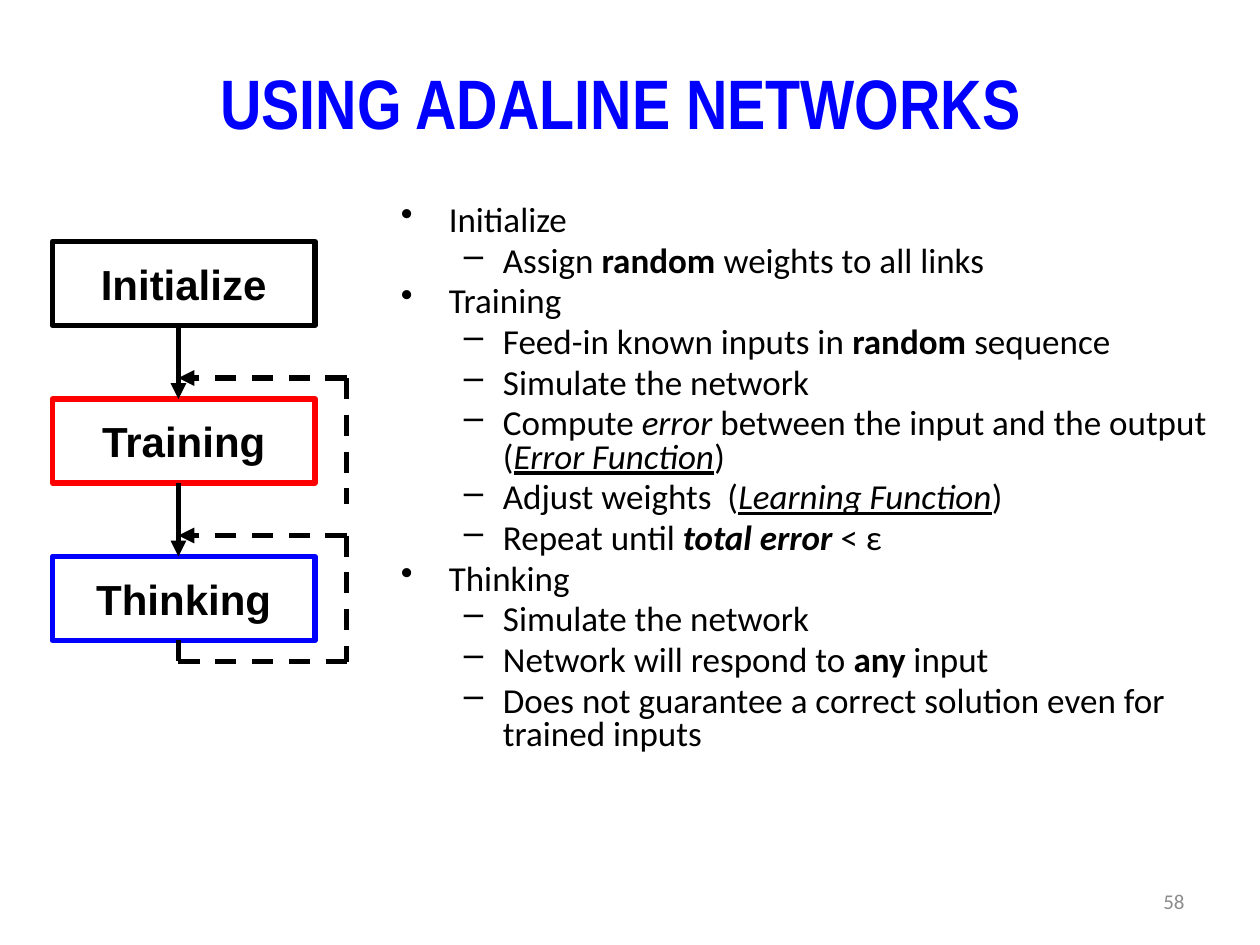
from lxml.etree import SubElement
from pptx import Presentation
from pptx.dml.color import RGBColor
from pptx.enum.dml import MSO_LINE
from pptx.enum.shapes import MSO_CONNECTOR, MSO_SHAPE
from pptx.enum.text import MSO_ANCHOR, PP_ALIGN
from pptx.oxml.ns import qn
from pptx.util import Inches, Pt

COLORS = {"black": "000000", "red": "FF0000", "blue": "0000FF", "gray": "8C8C8C"}

# Diagram grid: one cell is a twelfth of an inch
BOX_LEFT, BOX_WIDTH, BOX_HEIGHT = 5, 25, 8
FIRST_TOP, STEP = 23, 15
FLOW_X, LOOP_X = 17, 33

STAGES = [("Initialize", "black"), ("Training", "red"), ("Thinking", "blue")]

# Each entry: level, then spans of (text, style letters)
OUTLINE = [
    (0, [("Initialize", "")]),
    (1, [("Assign ", ""), ("random", "b"), (" weights to all links", "")]),
    (0, [("Training", "")]),
    (1, [("Feed-in known inputs in ", ""), ("random ", "b"), ("sequence", "")]),
    (1, [("Simulate the network", "")]),
    (1, [("Compute ", ""), ("error ", "i"),
         ("between the input and the output (", ""),
         ("Error Function", "iu"), (")", "")]),
    (1, [("Adjust weights  (", ""), ("Learning Function", "iu"), (")", "")]),
    (1, [("Repeat until ", ""), ("total error ", "bi"), ("< ε", "")]),
    (0, [("Thinking", "")]),
    (1, [("Simulate the network", "")]),
    (1, [("Network will respond to ", ""), ("any", "b"), (" input", "")]),
    (1, [("Does not guarantee a correct solution even for trained inputs", "")]),
]
# Bullet, left margin and hanging indent by level
LEVELS = [("•", 0.38, 0.38), ("–", 0.81, 0.31)]


def cells(count):
    return Inches(count / 12)


def color(name):
    return RGBColor.from_string(COLORS[name])


def format_span(span, font, size, ink, style=""):
    span.font.name = font
    span.font.size = Pt(size)
    span.font.color.rgb = color(ink)
    span.font.bold = "b" in style
    span.font.italic = "i" in style
    span.font.underline = "u" in style


def set_line(frame, text, align, font, size, ink, style=""):
    frame.text = text
    para = frame.paragraphs[0]
    para.alignment = align
    format_span(para.runs[0], font, size, ink, style)


def add_title(page, text):
    title = page.shapes.title
    title.left, title.top = Inches(1.64), Inches(0.42)
    title.width, title.height = Inches(6.57), Inches(0.77)
    frame = title.text_frame
    frame.word_wrap = False
    set_line(frame, text, PP_ALIGN.CENTER, "Arial Narrow", 40, "blue", "b")


def add_page_number(page, number):
    box = page.shapes.add_textbox(Inches(7.17), Inches(6.95), Inches(2.33), Inches(0.4))
    frame = box.text_frame
    frame.word_wrap = True
    frame.vertical_anchor = MSO_ANCHOR.MIDDLE
    set_line(frame, number, PP_ALIGN.RIGHT, "Calibri", 12, "gray")


def add_outline(page):
    box = page.shapes.add_textbox(cells(37), cells(19), cells(80), cells(60))
    frame = box.text_frame
    frame.word_wrap = True
    for index, (level, spans) in enumerate(OUTLINE):
        para = frame.add_paragraph() if index else frame.paragraphs[0]
        bullet, margin, hanging = LEVELS[level]
        para.level = level
        properties = para._p.get_or_add_pPr()
        properties.set("marL", str(Inches(margin)))
        properties.set("indent", str(-Inches(hanging)))
        SubElement(properties, qn("a:buChar")).set("char", bullet)
        para.line_spacing = 0.8
        para.space_before = Pt(4 if index else 0)
        for text, style in spans:
            span = para.add_run()
            span.text = text
            format_span(span, "Calibri", 20, "black", style)


def add_stage(page, top, label, ink):
    box = page.shapes.add_shape(MSO_SHAPE.RECTANGLE, cells(BOX_LEFT), cells(top),
                                cells(BOX_WIDTH), cells(BOX_HEIGHT))
    box.shadow.inherit = False
    box.fill.background()
    box.line.color.rgb = color(ink)
    box.line.width = Pt(3)
    box.text_frame.vertical_anchor = MSO_ANCHOR.MIDDLE
    set_line(box.text_frame, label, PP_ALIGN.CENTER, "Arial", 24, "black", "b")


def add_line(page, start, end, dashed=False, arrow=False):
    line = page.shapes.add_connector(MSO_CONNECTOR.STRAIGHT,
                                     *map(cells, start), *map(cells, end))
    line.line.color.rgb = color("black")
    line.line.width = Pt(3)
    if dashed:
        line.line.dash_style = MSO_LINE.DASH
    properties = line._element.spPr
    if arrow:
        SubElement(properties.find(qn("a:ln")), qn("a:tailEnd")).set("type", "triangle")
    SubElement(properties, qn("a:effectLst"))


def add_loop(page, top, height):
    """Dashed return path: into the flow at the top, down the right side."""
    add_line(page, (LOOP_X, top), (FLOW_X, top), dashed=True, arrow=True)
    add_line(page, (LOOP_X, top), (LOOP_X, top + height), dashed=True)


def add_diagram(page):
    tops = [FIRST_TOP + STEP * row for row in range(len(STAGES))]
    for top, (label, ink) in zip(tops, STAGES):
        add_stage(page, top, label, ink)

    # Flow arrows and return loops between neighbouring stages
    for top, following in zip(tops, tops[1:]):
        add_line(page, (FLOW_X, top + BOX_HEIGHT), (FLOW_X, following), arrow=True)
        add_loop(page, following - 2, 12)

    # Exit of the last stage into its loop
    bottom = tops[-1] + BOX_HEIGHT
    add_line(page, (FLOW_X, bottom), (FLOW_X, bottom + 2), dashed=True)
    add_line(page, (FLOW_X, bottom + 2), (LOOP_X, bottom + 2), dashed=True)


def main():
    deck = Presentation()
    deck.slide_width, deck.slide_height = Inches(10), Inches(7.5)
    page = deck.slides.add_slide(deck.slide_layouts[5])
    add_title(page, "USING ADALINE NETWORKS")
    add_outline(page)
    add_diagram(page)
    add_page_number(page, "58")
    deck.save("out.pptx")


if __name__ == "__main__":
    main()
